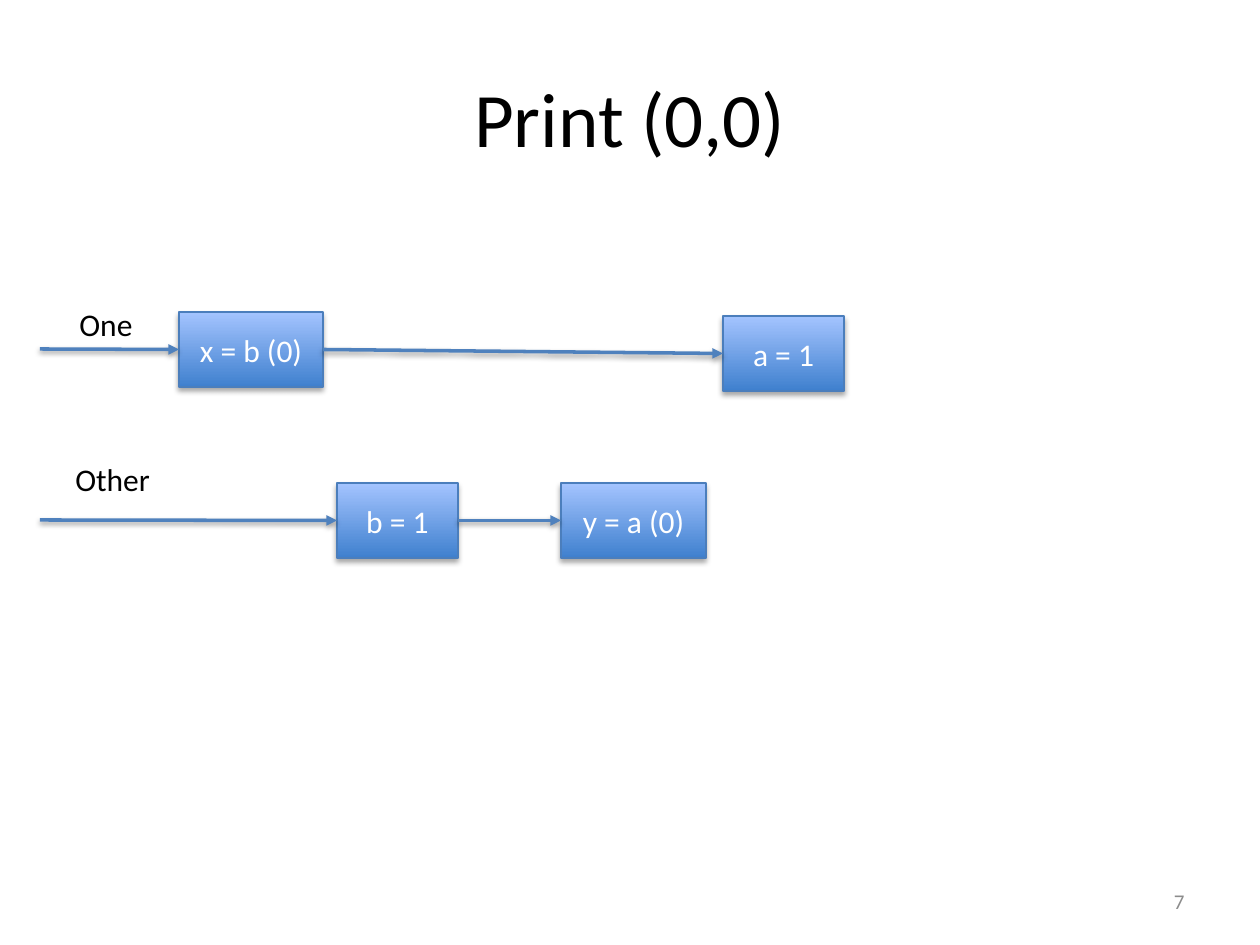
from lxml import etree
from pptx import Presentation, util as u
from pptx.dml.color import RGBColor
from pptx.enum import shapes, text
from pptx.oxml import ns

HEAD = "Print (0,0)"
PAGE = "7"
START, TALL = 40, 75
ROWS = [
    {"name": ("One", 67, 299, 79), "from": 349,
     "steps": [("x = b (0)", 179, 312, 144), ("a = 1", 723, 316, 121)]},
    {"name": ("Other", 63, 454, 101), "from": 520,
     "steps": [("b = 1", 337, 483, 121), ("y = a (0)", 561, 483, 145)]},
]
THEME = {
    "font": "Calibri", "ink": "000000", "pale": "FFFFFF", "gray": "8C8C8C",
    "low": "3F80CE", "high": "A4C4FF", "edge": "4B7EBC", "line": "4F81BD",
    "head": 44, "body": 18, "page": 12,
}


def px(n):
    return round(n * 914400 / 126)


def color(key):
    return RGBColor.from_string(THEME[key])


def write(shape, words, size, ink, align, anchor=text.MSO_ANCHOR.MIDDLE, wrap=True):
    frame = shape.text_frame
    frame.text = words
    frame.word_wrap = wrap
    frame.vertical_anchor = anchor
    para = frame.paragraphs[0]
    para.alignment = align
    para.font.name = THEME["font"]
    para.font.size = u.Pt(THEME[size])
    para.font.color.rgb = color(ink)


def shade(shape, dist, alpha):
    props = shape._element.spPr
    effect = etree.SubElement(props, ns.qn("a:effectLst"))
    outer = etree.SubElement(effect, ns.qn("a:outerShdw"), blurRad=str(u.Pt(3.1)),
                             dist=str(u.Pt(dist)), dir="5400000", rotWithShape="0")
    tint = etree.SubElement(outer, ns.qn("a:srgbClr"), val=THEME["ink"])
    etree.SubElement(tint, ns.qn("a:alpha"), val=str(alpha * 1000))


def add_step(slide, words, x, y, wide):
    box = slide.shapes.add_shape(shapes.MSO_SHAPE.RECTANGLE, px(x), px(y), px(wide), px(TALL))
    box.fill.gradient()
    box.fill.gradient_angle = 90
    for stop, key in zip(box.fill.gradient_stops, ("low", "high")):
        stop.color.rgb = color(key)
    box.line.color.rgb = color("edge")
    box.line.width = u.Pt(0.75)
    shade(box, 1.8, 35)
    write(box, words, "body", "pale", text.PP_ALIGN.CENTER)
    return box


def add_arrow(slide, last, box, y):
    arrow = slide.shapes.add_connector(shapes.MSO_CONNECTOR.STRAIGHT, px(START), px(y), box.left, px(y))
    if last:
        arrow.begin_connect(last, 3)
    arrow.end_connect(box, 1)
    arrow.line.color.rgb = color("line")
    arrow.line.width = u.Pt(2)
    etree.SubElement(arrow.line._get_or_add_ln(), ns.qn("a:tailEnd"), type="triangle")
    shade(arrow, 1.6, 38)


def add_label(slide, words, x, y, wide, tall, *style):
    label = slide.shapes.add_textbox(px(x), px(y), px(wide), px(tall))
    write(label, words, *style)


def main():
    deck = Presentation()
    deck.slide_width, deck.slide_height = px(1260), px(945)
    slide = deck.slides.add_slide(deck.slide_layouts[5])
    title = slide.shapes.title
    title.left, title.top, title.width, title.height = map(px, (63, 38, 1134, 157))
    write(title, HEAD, "head", "ink", text.PP_ALIGN.CENTER)
    add_label(slide, PAGE, 903, 876, 294, 50, "page", "gray", text.PP_ALIGN.RIGHT)
    for row in ROWS:
        last = None
        for step in row["steps"]:
            box = add_step(slide, *step)
            add_arrow(slide, last, box, row["from"])
            last = box
        add_label(slide, *row["name"], 50, "body", "ink", text.PP_ALIGN.LEFT,
                  text.MSO_ANCHOR.TOP, False)
    deck.save("out.pptx")


if __name__ == "__main__":
    main()
